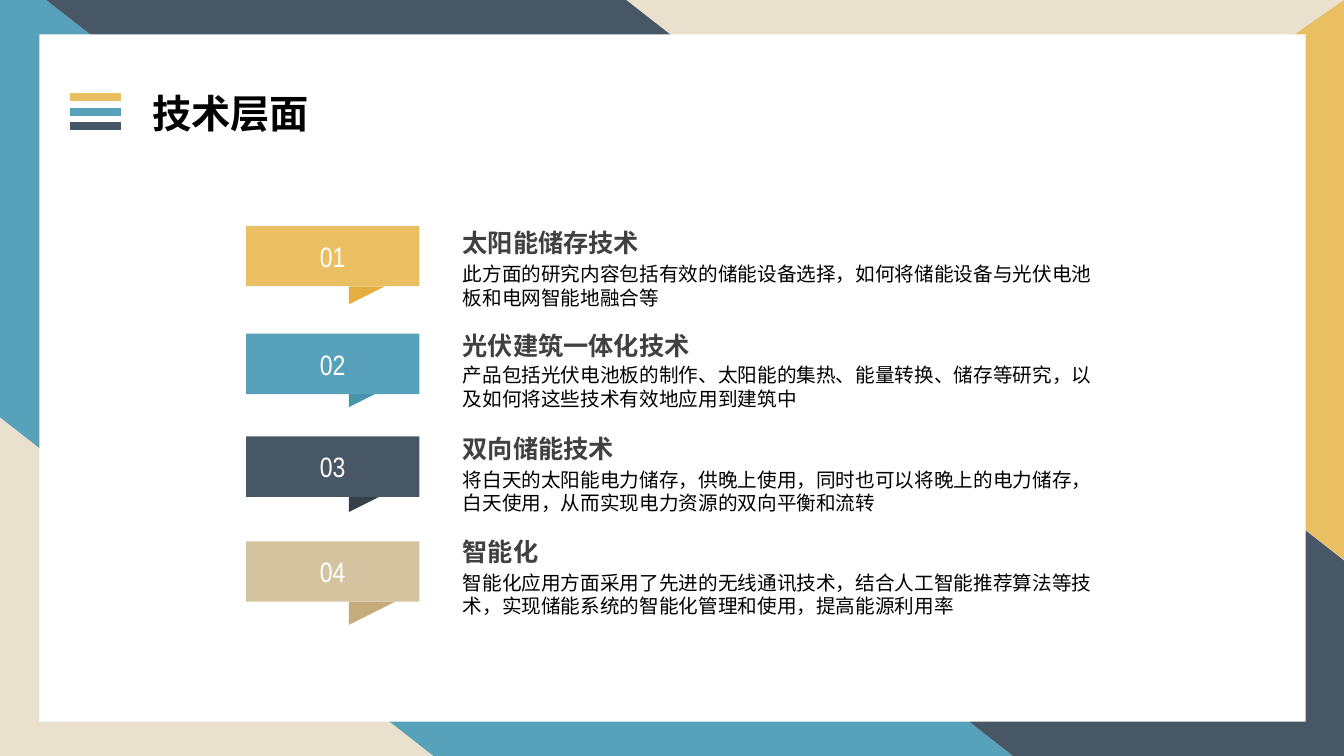
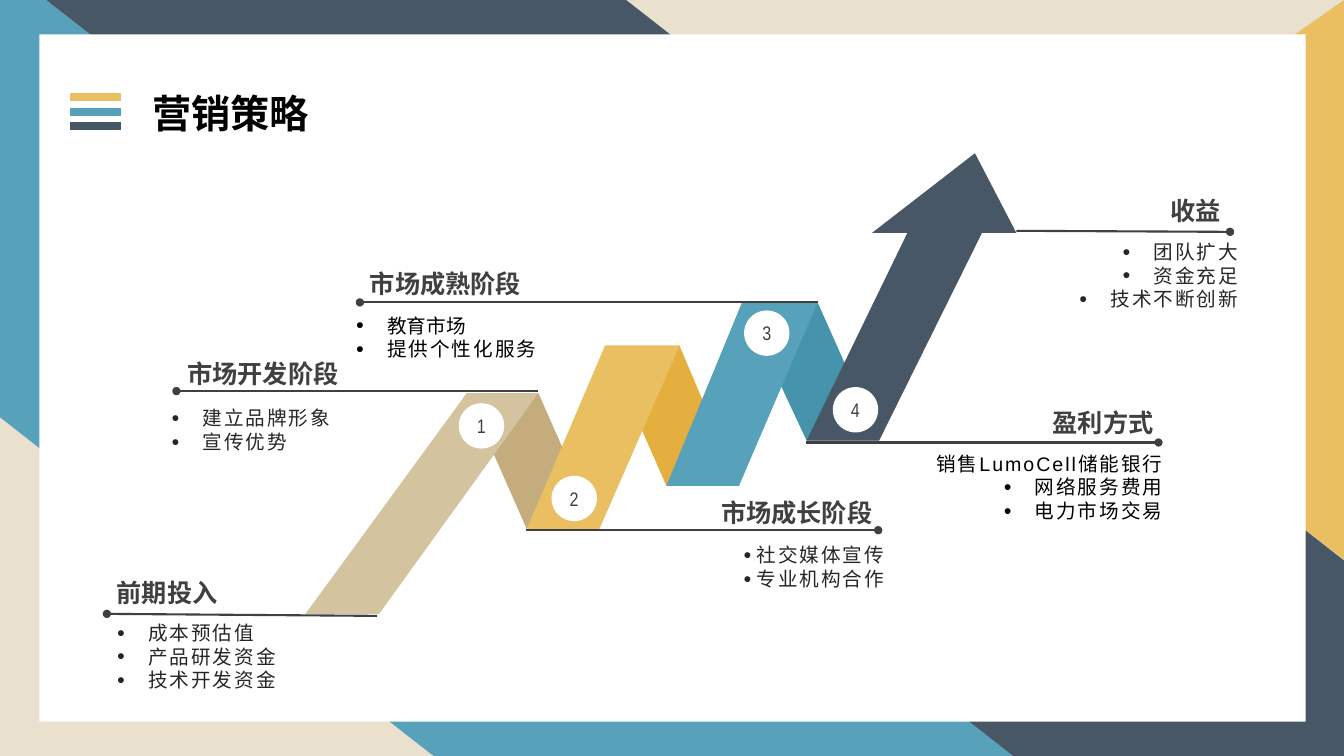
from copy import deepcopy
from dataclasses import dataclass

from lxml.etree import SubElement
from pptx import Presentation
from pptx.dml.color import RGBColor
from pptx.enum.shapes import MSO_CONNECTOR, MSO_SHAPE
from pptx.enum.text import MSO_ANCHOR, MSO_AUTO_SIZE, PP_ALIGN
from pptx.oxml.ns import qn
from pptx.util import Emu, Pt

PX = 9144  # 100 px to the inch
LEFT, CENTER, RIGHT = PP_ALIGN.LEFT, PP_ALIGN.CENTER, PP_ALIGN.RIGHT
LIST_COUNT = 6  # body placeholders on the shared layout


@dataclass(frozen=True)
class Theme:
    beige: str = "E9E1CE"
    yellow: str = "E9BF62"
    yellow_dark: str = "E4AF3E"
    blue: str = "57A1BB"
    blue_dark: str = "4693AC"
    navy: str = "485766"
    navy_dark: str = "35404B"
    sand: str = "D4C39F"
    sand_dark: str = "C4AC7C"
    white: str = "FFFFFF"
    black: str = "000000"
    grey: str = "404040"
    ink: str = "262626"
    title: tuple = (("size", Pt(28)), ("name", "Arial"), ("bold", True))
    heading: tuple = (("size", Pt(18)), ("name", "Quicksand"), ("bold", True))
    body: tuple = (("size", Pt(14)), ("name", "Quicksand"))
    item: tuple = (("size", Pt(14)), ("name", "Arial"))
    number: tuple = (("size", Pt(20)), ("name", "Arial Narrow"))
    step: tuple = (("size", Pt(14)), ("name", "Arial Narrow"))


T = Theme()

# Number box top, tail drop, colours, heading, text top, text
TOPICS = [
    (224, 18, T.yellow, T.yellow_dark, "太阳能储存技术", 255,
     "此方面的研究内容包括有效的储能设备选择，如何将储能设备与光伏电池板和电网智能地融合等"),
    (331, 13, T.blue, T.blue_dark, "光伏建筑一体化技术", 355,
     "产品包括光伏电池板的制作、太阳能的集热、能量转换、储存等研究，以及如何将这些技术有效地应用到建筑中"),
    (433, 15, T.navy, T.navy_dark, "双向储能技术", 459,
     "将白天的太阳能电力储存，供晚上使用，同时也可以将晚上的电力储存，白天使用，从而实现电力资源的双向平衡和流转"),
    (537, 23, T.sand, T.sand_dark, "智能化", 561,
     "智能化应用方面采用了先进的无线通讯技术，结合人工智能推荐算法等技术，实现储能系统的智能化管理和使用，提高能源利用率"),
]

# Folded ribbon, from back to front
RIBBON = [
    (T.blue_dark, [(736, 300), (800, 437), (872, 437), (811, 300)]),
    (T.yellow_dark, [(600, 343), (661, 482), (733, 482), (674, 343)]),
    (T.sand_dark, [(463, 390), (534, 390), (594, 526), (523, 526)]),
    (T.sand, [(303, 609), (463, 390), (534, 390), (376, 609)]),
    (T.yellow, [(522, 526), (600, 343), (674, 343), (594, 526)]),
    (T.blue, [(661, 482), (733, 482), (811, 300), (736, 300)]),
    (T.navy, [(900, 231), (865, 231), (967, 152), (1008, 231),
              (974, 231), (872, 437), (800, 437)]),
]
STEPS = [(455, 400), (547, 472), (738, 308), (826, 384)]

# Heading, its place, heading alignment, leader line, list box (left, top,
# width), list alignment, bullet indent, colour, items
STAGES = [
    ("市场开发阶段", (176, 351), LEFT, (534, 388, 175, 388),
     (160, 398, 285), LEFT, 31, T.ink, ["建立品牌形象", "宣传优势"]),
    ("市场成熟阶段", (357, 261), LEFT, (811, 300, 357, 300),
     (343, 306, 285), LEFT, 31, T.black, ["教育市场", "提供个性化服务"]),
    ("市场成长阶段", (602, 488), RIGHT, (522, 526, 871, 526),
     (602, 534, 285), RIGHT, 13, T.ink, ["社交媒体宣传", "专业机构合作"]),
    ("盈利方式", (881, 399), RIGHT, (799, 439, 1149, 439),
     (878, 443, 285), RIGHT, 31, T.black,
     ["销售LumoCell储能银行", "网络服务费用", "电力市场交易"]),
    ("前期投入", (106, 568), LEFT, (374, 611, 106, 609),
     (106, 611, 210), LEFT, 31, T.ink,
     ["成本预估值", "产品研发资金", "技术开发资金"]),
    ("收益", (1049, 189), CENTER, (1008, 229, 1220, 230),
     (1009, 233, 229), RIGHT, 31, T.ink,
     ["团队扩大", "资金充足", "技术不断创新"]),
]
PLAIN_ITEMS = {"教育市场"}  # set in the body font without tracking
UNBULLETED = {"销售LumoCell储能银行"}


def rgb(value):
    return RGBColor.from_string(value)


def place(shape, *box):
    for name, value in zip(("left", "top", "width", "height"), box):
        setattr(shape, name, Emu(value * PX))


def add_run(p, text, font, color, align=LEFT, tracking=0):
    p.alignment = align
    r = p.add_run()
    r.text = text
    for name, value in dict(font).items():
        setattr(r.font, name, value)
    r.font.color.rgb = rgb(color)
    if tracking:
        r.font._element.set("spc", str(tracking))


def set_bullet(p, indent):
    """Hang a small round bullet by indent, or drop the bullet when it is 0."""
    pPr = p._p.get_or_add_pPr()
    pPr.set("marL", str(indent * PX))
    pPr.set("indent", str(-indent * PX))
    if indent:
        SubElement(pPr, qn("a:buSzPct")).set("val", "70000")
        SubElement(pPr, qn("a:buChar")).set("char", "●")
    else:
        SubElement(pPr, qn("a:buNone"))
    p.space_before = Pt(0)


def paint(shape, color):
    shape.shadow.inherit = False
    shape.fill.solid()
    shape.fill.fore_color.rgb = rgb(color)
    shape.line.fill.background()
    return shape


def add_block(s, kind, box, color, text="", font=T.number, text_color=T.white):
    shape = paint(s.shapes.add_shape(kind, *(v * PX for v in box)), color)
    if text:
        tf = shape.text_frame
        tf.margin_left = tf.margin_right = 0
        tf.vertical_anchor = MSO_ANCHOR.MIDDLE
        add_run(tf.paragraphs[0], text, font, text_color, CENTER)
    return shape


def add_polygon(s, points, color):
    outline = s.shapes.build_freeform(*points[0], scale=PX)
    outline.add_line_segments(points[1:], close=True)
    return paint(outline.convert_to_shape(), color)


def add_line(s, ends, color, width, dot=False):
    line = s.shapes.add_connector(MSO_CONNECTOR.STRAIGHT, *(v * PX for v in ends))
    line.line.color.rgb = rgb(color)
    line.line.width = Pt(width)
    if dot:
        SubElement(line.line._get_or_add_ln(), qn("a:tailEnd")).set("type", "oval")
    SubElement(line.element.spPr, qn("a:effectLst"))
    return line


def add_heading(s, text, left, top, width, align=LEFT):
    tf = s.shapes.add_textbox(*(v * PX for v in (left, top, width, 40))).text_frame
    tf.word_wrap = True
    add_run(tf.paragraphs[0], text, T.heading, T.grey, align)


def fill_body(body, left, top, width, height):
    place(body, left, top, width, height)
    tf = body.text_frame
    tf.auto_size = MSO_AUTO_SIZE.NONE
    return tf


def prepare_layout(prs):
    """Give the layout its frame, title mark, title place and list bodies."""
    layout = prs.slide_layouts[1]
    title, body = layout.placeholders[0], layout.placeholders[1]
    place(title, 141, 84, 308, 57)
    title.text_frame.vertical_anchor = MSO_ANCHOR.TOP
    tree = layout.shapes.element
    for n in range(1, LIST_COUNT):
        twin = deepcopy(body.element)
        twin.xpath(".//p:ph")[0].set("idx", str(20 + n))
        tree.append(twin)

    # Shapes are drawn on a slide, then moved to the layout
    s = prs.slides.add_slide(layout)
    frame = [
        add_block(s, MSO_SHAPE.RECTANGLE, (0, 0, 1333, 750), T.beige),
        add_polygon(s, [(1333, 0), (1333, 555), (954, 265)], T.yellow),
        add_polygon(s, [(0, 0), (46, 0), (1005, 750), (430, 750), (0, 414)], T.blue),
        add_polygon(s, [(46, 0), (621, 0), (1333, 556), (1333, 750), (1005, 750)],
                    T.navy),
        add_block(s, MSO_SHAPE.RECTANGLE, (39, 34, 1256, 682), T.white),
    ]
    for y, color in ((96, T.yellow), (111, T.blue), (125, T.navy)):
        frame.append(add_line(s, (69, y, 120, y), color, 5.5))
    for position, shape in enumerate(frame, 2):
        tree.insert(position, shape.element)
    for number, item in enumerate(tree.xpath(".//p:cNvPr"), 1):
        item.set("id", str(number))
    return layout, s


def start_slide(s, title):
    """Write the title and return the body placeholders."""
    add_run(s.shapes.title.text_frame.paragraphs[0], title, T.title, T.black)
    return [ph for ph in s.placeholders if ph.placeholder_format.idx]


def drop_unused(bodies):
    for body in bodies:
        body.element.getparent().remove(body.element)


def build_technology(s):
    bodies = start_slide(s, "技术层面")
    for i, (top, drop, color, dark, heading, text_top, text) in enumerate(TOPICS):
        bottom = top + 60
        add_polygon(s, [(346, bottom), (346 + 2 * drop, bottom),
                        (346, bottom + drop)], dark)
        add_block(s, MSO_SHAPE.RECTANGLE, (244, top, 172, 60), color, f"{i + 1:02d}")
        add_heading(s, heading, 449, 221 + 102 * i, 596)
        p = fill_body(bodies[i], 449, text_top, 646, 57).paragraphs[0]
        set_bullet(p, 0)
        add_run(p, text, T.body, T.black)
    drop_unused(bodies[len(TOPICS):])


def build_marketing(s):
    bodies = start_slide(s, "营销策略")
    # Ribbon and step numbers
    for color, points in RIBBON:
        add_polygon(s, points, color)
    for number, (left, top) in enumerate(STEPS, 1):
        add_block(s, MSO_SHAPE.OVAL, (left, top, 45, 45), T.white, str(number),
                  T.step, T.grey)
    # Stage headings, leader lines and lists
    for body, stage in zip(bodies, STAGES):
        heading, spot, side, ends, box, align, indent, color, items = stage
        add_line(s, ends, T.grey, 1.5, dot=True)
        add_heading(s, heading, *spot, 273, side)
        tf = fill_body(body, *box, 10 + 24 * len(items))
        for i, item in enumerate(items):
            p = tf.add_paragraph() if i else tf.paragraphs[0]
            set_bullet(p, 0 if item in UNBULLETED else indent)
            plain = item in PLAIN_ITEMS
            add_run(p, item, T.body if plain else T.item, color, align,
                    0 if plain else 140)
    drop_unused(bodies[len(STAGES):])


def main():
    prs = Presentation()
    prs.slide_width, prs.slide_height = Emu(1333 * PX), Emu(750 * PX)
    layout, first = prepare_layout(prs)
    build_technology(first)
    build_marketing(prs.slides.add_slide(layout))
    prs.save("out.pptx")


if __name__ == "__main__":
    main()
